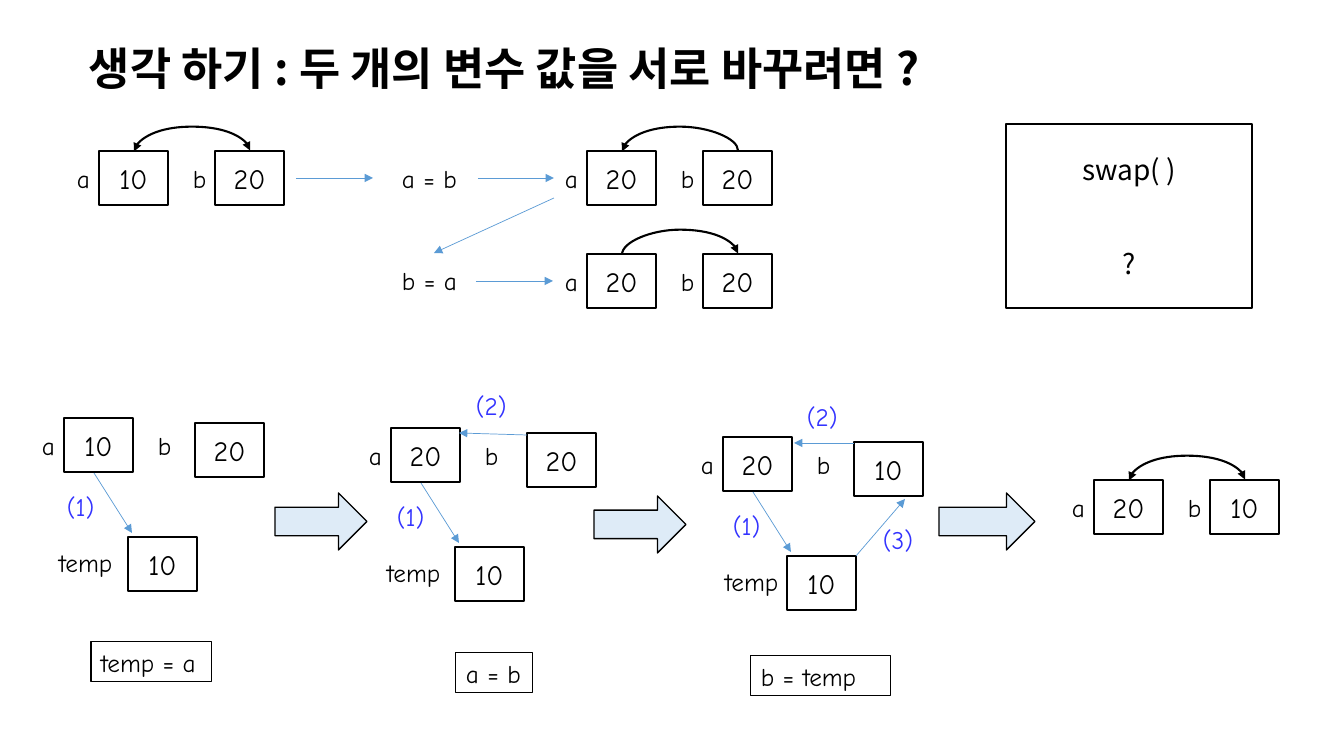
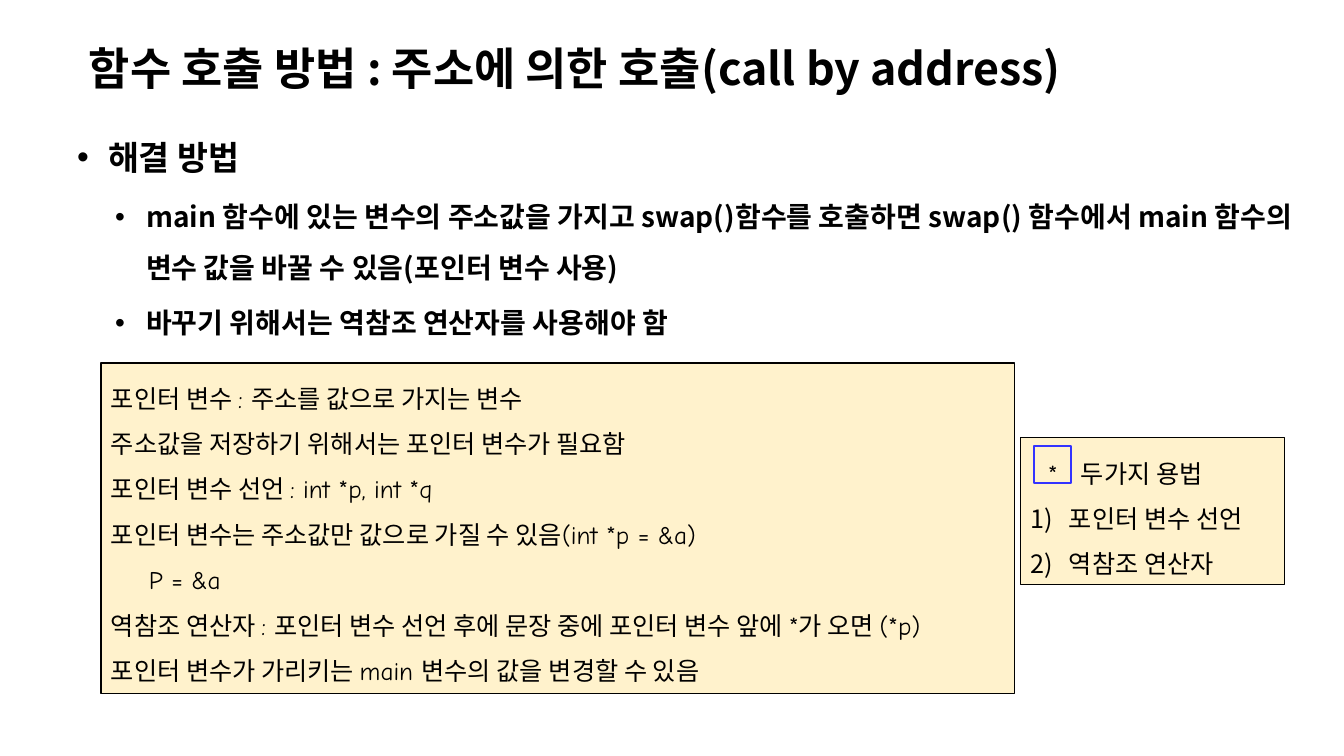
from dataclasses import dataclass

from lxml.etree import SubElement
from pptx import Presentation
from pptx.dml.color import RGBColor
from pptx.enum.shapes import MSO_CONNECTOR, MSO_SHAPE
from pptx.enum.text import MSO_ANCHOR, MSO_AUTO_SIZE, PP_ALIGN
from pptx.oxml.ns import qn
from pptx.util import Pt

EMU_PER_PX = 914400 / 100.8


def px(n):
    return round(n * EMU_PER_PX)


@dataclass(frozen=True)
class Theme:
    ink: str = "000000"
    mark: str = "3333FF"
    link: str = "5B9BD5"
    block: str = "DEEBF7"
    note: str = "FFF2CC"
    title_font: str = "Noto Sans CJK TC"
    body_font: str = "Noto Sans CJK KR"
    hand_font: str = "Comic Neue"
    title: int = 32
    heading: int = 24
    body: int = 20
    small: int = 18


class Deck:
    """Holds the theme and the current slide, and draws each kind of element."""

    def __init__(self, theme):
        self.t = theme
        self.prs = Presentation()
        self.prs.slide_width, self.prs.slide_height = px(1344), px(756)

    def new_slide(self, layout, title):
        self.slide = self.prs.slides.add_slide(self.prs.slide_layouts[layout])
        sp = self.slide.shapes.title
        self.place(sp, 67, 31, 1203, 81)
        tf = sp.text_frame
        tf.auto_size = MSO_AUTO_SIZE.NONE
        tf.vertical_anchor = MSO_ANCHOR.MIDDLE
        tf.margin_left = px(22)
        tf.text = title
        p = tf.paragraphs[0]
        p.alignment, p.line_spacing = PP_ALIGN.LEFT, 0.9
        self.style(p, self.t.title, self.t.title_font, bold=True)

    def place(self, sp, x, y, w, h):
        sp.left, sp.top, sp.width, sp.height = px(x), px(y), px(w), px(h)

    def style(self, p, size, font, color=None, bold=False):
        for r in p.runs:
            r.font.size, r.font.bold, r.font.name = Pt(size), bold, font
            r.font.color.rgb = RGBColor.from_string(color or self.t.ink)
            ea = font if font != self.t.hand_font else self.t.body_font
            SubElement(r._r.get_or_add_rPr(), qn("a:ea"), typeface=ea)

    def indent(self, p, left, first=0):
        pPr = p._p.get_or_add_pPr()
        pPr.set("marL", str(px(left)))
        pPr.set("indent", str(px(first)))
        return pPr

    def shape(self, x, y, w, h, fill=None, line=None, width=1, kind=MSO_SHAPE.RECTANGLE):
        sp = self.slide.shapes.add_shape(kind, px(x), px(y), px(w), px(h))
        sp.shadow.inherit = False
        if fill:
            sp.fill.solid()
            sp.fill.fore_color.rgb = RGBColor.from_string(fill)
        else:
            sp.fill.background()
        sp.line.color.rgb = RGBColor.from_string(line or self.t.ink)
        sp.line.width = Pt(width)
        return sp

    def set_text(self, sp, text, size, font=None, color=None, align=PP_ALIGN.LEFT,
                 anchor=MSO_ANCHOR.TOP, wrap=True, spacing=1):
        tf = sp.text_frame
        tf.word_wrap, tf.vertical_anchor = wrap, anchor
        tf.text = text
        for p in tf.paragraphs:
            p.alignment, p.line_spacing = align, spacing
            self.style(p, size, font or self.t.hand_font, color)
        return tf.paragraphs

    def centred(self, sp, text, font=None):
        return self.set_text(sp, text, self.t.body, font, align=PP_ALIGN.CENTER,
                             anchor=MSO_ANCHOR.MIDDLE)

    def cell(self, x, y, value):
        self.centred(self.shape(x, y, 69, 54), value)

    def label(self, x, y, text, w=34, color=None):
        sp = self.slide.shapes.add_textbox(px(x), px(y), px(w), px(40))
        self.set_text(sp, text, self.t.small, color=color, wrap=False)

    def mark(self, x, y, number):
        self.label(x, y, f"({number})", 54, self.t.mark)

    def statement(self, x, y, w, text):
        self.set_text(self.shape(x, y, w, 40, width=0.75), text, self.t.small, wrap=False)

    def note(self, x, y, w, h, text):
        sp = self.shape(x, y, w, h, fill=self.t.note, width=0.75)
        return self.set_text(sp, text, self.t.small, spacing=1.5)

    def block_arrow(self, x, y, w=92):
        self.shape(x, y, w, 57, fill=self.t.block, kind=MSO_SHAPE.RIGHT_ARROW)

    def connector(self, kind, ends, color, width, heads):
        cx = self.slide.shapes.add_connector(kind, *map(px, ends))
        cx.line.color.rgb = RGBColor.from_string(color)
        cx.line.width = Pt(width)
        ln = cx.get_or_add_ln()
        for head in heads:
            SubElement(ln, qn(f"a:{head}"), type="triangle")
        SubElement(cx._element.spPr, qn("a:effectLst"))
        return cx

    def arrow(self, *ends):
        self.connector(MSO_CONNECTOR.STRAIGHT, ends, self.t.link, 0.5, ["tailEnd"])

    def arc(self, x, y, heads, span=116, rise=25):
        mid = x + span / 2
        ends = (mid + 0.5, y + span / 2, mid - 0.5, y - span / 2)
        cx = self.connector(MSO_CONNECTOR.CURVE, ends, self.t.ink, 1.5, heads)
        spPr = cx._element.spPr
        spPr.find(qn("a:xfrm")).set("rot", str(90 * 60000))
        geom = spPr.find(qn("a:prstGeom"))
        av = geom.find(qn("a:avLst"))
        if av is None:
            av = SubElement(geom, qn("a:avLst"))
        SubElement(av, qn("a:gd"), name="adj1", fmla=f"val {rise * 100000}")

    def pair(self, x, y, a, b, dx=116, dy=0):
        self.label(x - 32, y + 7, "a")
        self.cell(x, y, a)
        self.label(x + 84, y + 7, "b")
        self.cell(x + dx, y + dy, b)

    def swap_pair(self, x, y, a, b, heads):
        self.pair(x, y, a, b)
        self.arc(x + 35, y, heads)

    def temp_step(self, x, y, a, b, dx, temp_dx, mark_dx):
        self.pair(x, y, a, b, dx, 5)
        self.cell(x + 64, y + 119, "10")
        self.label(x + temp_dx, y + 124, "temp", 79)
        self.arrow(x + 30, y + 55, x + 68, y + 115)
        self.mark(x + mark_dx, y + 68, 1)

    def bullets(self, x, y, w, h, items):
        sp = self.slide.placeholders[1]
        self.place(sp, x, y, w, h)
        tf = sp.text_frame
        tf.auto_size = MSO_AUTO_SIZE.NONE
        tf.text = "\n".join(text for _, text in items)
        for p, (level, _) in zip(tf.paragraphs, items):
            p.level, p.line_spacing = level, 1.5
            p.space_before = Pt(3.8 if level else 7.5)
            self.style(p, self.t.body if level else self.t.heading, self.t.body_font, bold=True)
            pPr = self.indent(p, 31 + 38 * level, -31)
            SubElement(pPr, qn("a:buChar"), char="•")

    def number(self, p):
        pPr = self.indent(p, 38, -38)
        SubElement(pPr, qn("a:buFont"), typeface=self.t.body_font)
        SubElement(pPr, qn("a:buAutoNum"), type="arabicParenR")


def swap_slide(d):
    d.new_slide(5, "생각 하기 : 두 개의 변수 값을 서로 바꾸려면 ?")
    swap_box = d.shape(1006, 124, 246, 184)
    d.centred(swap_box, "swap( )\n?", d.t.body_font)[1].space_before = Pt(43)

    both = ["headEnd", "tailEnd"]
    d.swap_pair(99, 151, "10", "20", both)
    d.swap_pair(587, 151, "20", "20", ["headEnd"])
    d.swap_pair(587, 254, "20", "20", ["tailEnd"])
    d.swap_pair(1094, 480, "20", "10", both)
    d.label(392, 158, "a = b", 77)
    d.label(392, 260, "b = a", 77)
    for ends in ((296, 178, 373, 178), (478, 178, 554, 178),
                 (554, 198, 434, 253), (476, 281, 553, 281)):
        d.arrow(*ends)

    d.temp_step(64, 418, "10", "20", 131, -15, -7)
    d.temp_step(391, 428, "20", "20", 136, -14, -4)
    d.temp_step(723, 437, "20", "10", 131, -8, 0)
    d.arrow(527, 435, 459, 433)
    d.mark(466, 385, 2)
    d.arrow(854, 443, 794, 443)
    d.mark(797, 396, 2)
    d.arrow(856, 556, 905, 499)
    d.mark(873, 519, 3)

    d.statement(91, 642, 121, "temp = a")
    d.statement(456, 653, 77, "a = b")
    d.statement(751, 656, 140, "b = temp")
    d.block_arrow(275, 493)
    d.block_arrow(594, 496)
    d.block_arrow(939, 493, 96)


def address_slide(d):
    d.new_slide(1, "함수 호출 방법 : 주소에 의한 호출(call by address)")
    d.bullets(67, 112, 1246, 261, [
        (0, "해결 방법"),
        (1, "main 함수에 있는 변수의 주소값을 가지고 swap()함수를 호출하면 swap() 함수에서 "
            "main 함수의 변수 값을 바꿀 수 있음(포인터 변수 사용)"),
        (1, "바꾸기 위해서는 역참조 연산자를 사용해야 함"),
    ])
    pointer_notes = d.note(101, 363, 914, 331, "\n".join([
        "포인터 변수 : 주소를 값으로 가지는 변수",
        "주소값을 저장하기 위해서는 포인터 변수가 필요함",
        "포인터 변수 선언 : int *p, int *q",
        "포인터 변수는 주소값만 값으로 가질 수 있음(int *p = &a)",
        "P = &a",
        "역참조 연산자 : 포인터 변수 선언 후에 문장 중에 포인터 변수 앞에 *가 오면 (*p)",
        "포인터 변수가 가리키는 main 변수의 값을 변경할 수 있음",
    ]))
    d.indent(pointer_notes[4], 38)
    heading, *uses = d.note(1021, 438, 264, 147, "*\t두가지 용법\n포인터 변수 선언\n역참조 연산자")
    d.indent(heading, 50, -33)
    for p in uses:
        d.number(p)
    d.shape(1034, 446, 37, 37, line=d.t.mark, width=1.5)


def main():
    d = Deck(Theme())
    swap_slide(d)
    address_slide(d)
    d.prs.save("out.pptx")


if __name__ == "__main__":
    main()
